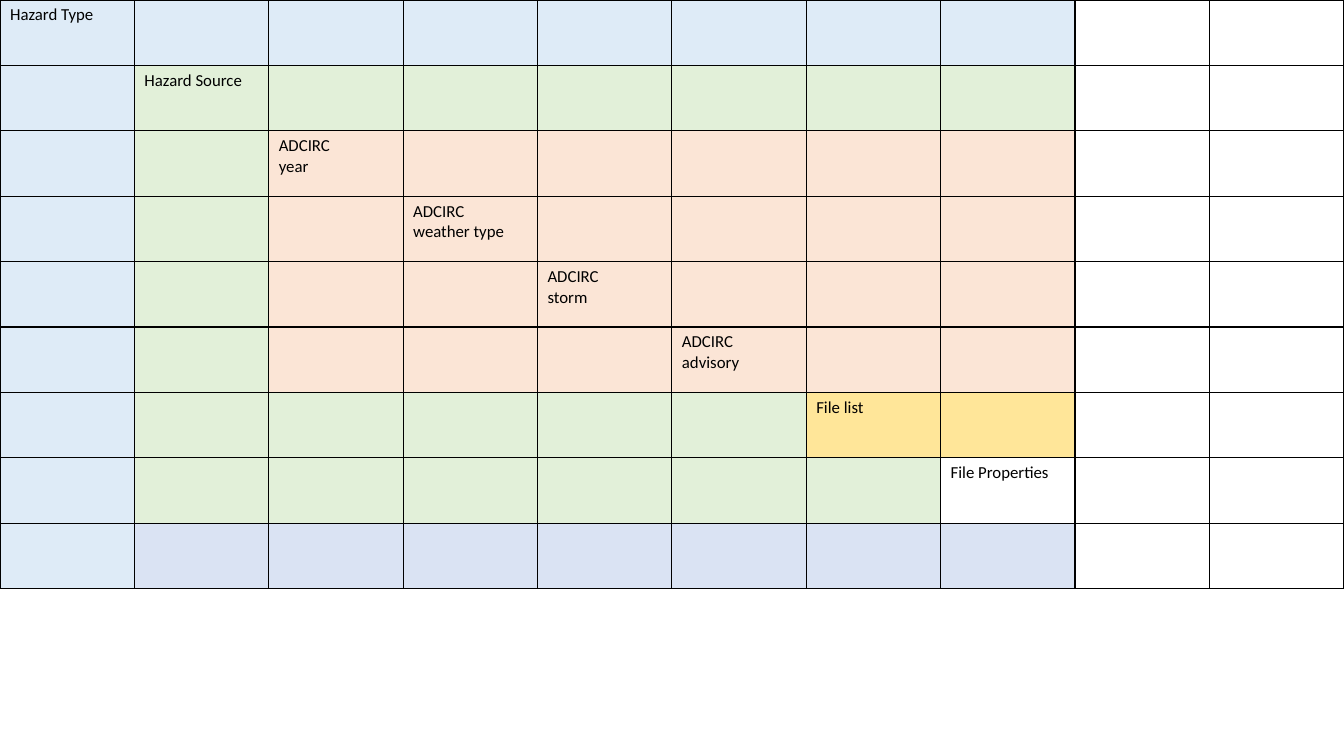
import lxml.etree
import pptx
import pptx.dml.color
import pptx.oxml.ns
import pptx.util

RGBColor = pptx.dml.color.RGBColor
Inches = pptx.util.Inches
BLACK = RGBColor(0x00, 0x00, 0x00)
BLUE = RGBColor(0xDE, 0xEB, 0xF7)
GREEN = RGBColor(0xE2, 0xF0, 0xD9)
ORANGE = RGBColor(0xFB, 0xE5, 0xD6)
YELLOW = RGBColor(0xFF, 0xE6, 0x99)
PERIWINKLE = RGBColor(0xDA, 0xE3, 0xF3)

# One label per level, stepping down the diagonal
LEVELS = [
    "Hazard Type",
    "Hazard Source",
    "ADCIRC \nyear",
    "ADCIRC \nweather type",
    "ADCIRC \nstorm",
    "ADCIRC \nadvisory",
    "File list",
    "File Properties",
]

# Nested regions: first row, last row, first column, last column, colour.
# Later regions cover earlier ones; None leaves the cells unfilled.
REGIONS = [
    (0, 8, 0, 7, BLUE),
    (1, 7, 1, 7, GREEN),
    (2, 5, 2, 7, ORANGE),
    (6, 6, 6, 7, YELLOW),
    (7, 7, 7, 7, None),
    (8, 8, 1, 7, PERIWINKLE),
]

ROWS, COLUMNS = 9, 10
SLIDE_WIDTH, SLIDE_HEIGHT = 13.33, 7.5
TABLE_HEIGHT = 5.84


def region_color(row, column):
    """Return the colour of the topmost region over a cell, or None."""
    color = None
    for top, bottom, left, right, region in REGIONS:
        if top <= row <= bottom and left <= column <= right:
            color = region
    return color


def add_borders(cell):
    """Draw a thin black line on all four sides of a cell."""
    properties = cell._tc.get_or_add_tcPr()
    qn = pptx.oxml.ns.qn
    for side in ("a:lnL", "a:lnR", "a:lnT", "a:lnB"):
        line = lxml.etree.SubElement(properties, qn(side), w=str(pptx.util.Pt(1)))
        fill = lxml.etree.SubElement(line, qn("a:solidFill"))
        lxml.etree.SubElement(fill, qn("a:srgbClr"), val=str(BLACK))


def fill_cell(cell, color):
    """Fill a cell with a colour, or leave it clear."""
    if color is None:
        cell.fill.background()
    else:
        cell.fill.solid()
        cell.fill.fore_color.rgb = color


def write_label(cell, label):
    """Write a level label in the cell."""
    cell.text_frame.text = label
    for para in cell.text_frame.paragraphs:
        for span in para.runs:
            span.font.name = "Calibri"
            span.font.size = pptx.util.Pt(12)
            span.font.color.rgb = BLACK


deck = pptx.Presentation()
deck.slide_width = Inches(SLIDE_WIDTH)
deck.slide_height = Inches(SLIDE_HEIGHT)
page = deck.slides.add_slide(deck.slide_layouts[6])

hierarchy = page.shapes.add_table(
    ROWS, COLUMNS, 0, 0, Inches(SLIDE_WIDTH), Inches(TABLE_HEIGHT)
).table
hierarchy.first_row = False
hierarchy.horz_banding = False

for row in range(ROWS):
    for column in range(COLUMNS):
        cell = hierarchy.cell(row, column)
        add_borders(cell)
        fill_cell(cell, region_color(row, column))

for level, label in enumerate(LEVELS):
    write_label(hierarchy.cell(level, level), label)

deck.save("out.pptx")
